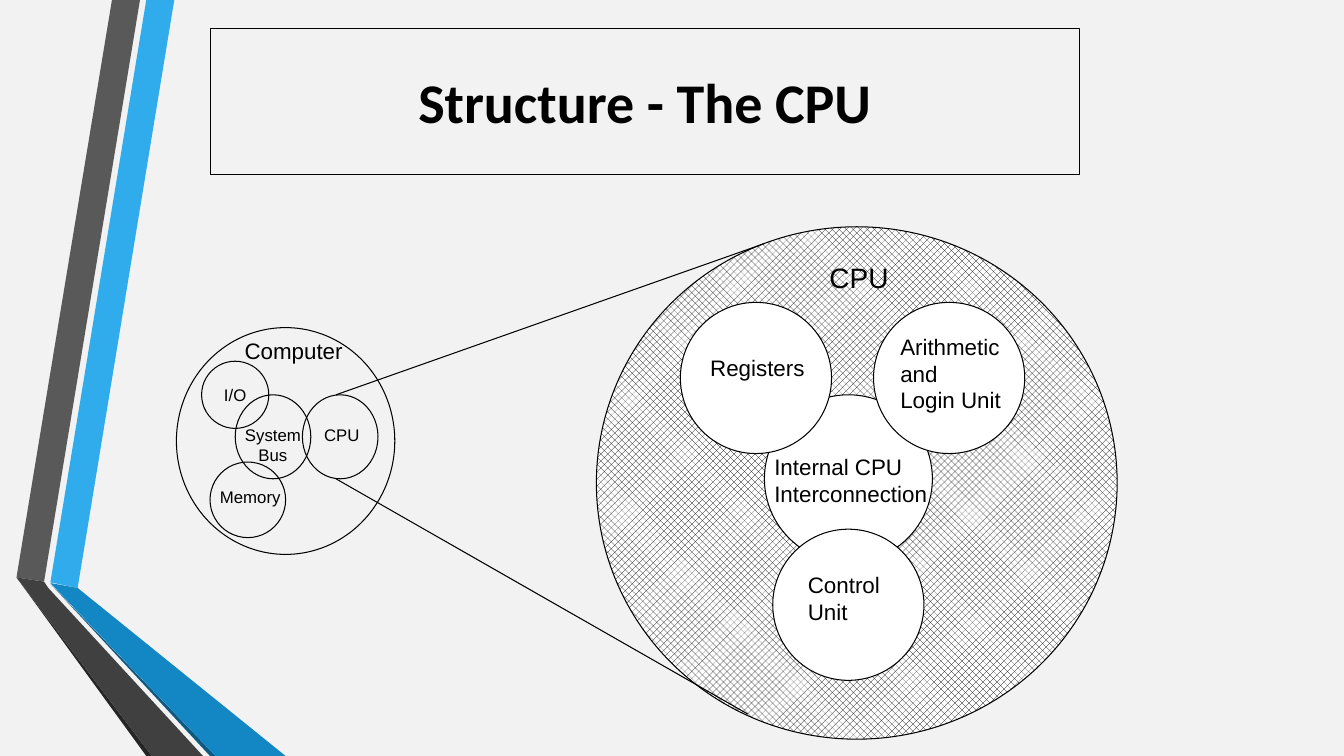
from pptx import Presentation
from pptx.dml.color import RGBColor
from pptx.enum.dml import MSO_PATTERN
from pptx.enum.shapes import MSO_CONNECTOR, MSO_SHAPE
from pptx.enum.text import MSO_ANCHOR, MSO_AUTO_SIZE, PP_ALIGN
from pptx.oxml.ns import qn
from pptx.util import Pt

BLACK = RGBColor(0x00, 0x00, 0x00)
WHITE = RGBColor(0xFF, 0xFF, 0xFF)
BACKGROUND = RGBColor(0xF2, 0xF2, 0xF2)
LIGHT_BLUE = RGBColor(0x30, 0xAC, 0xEC)
BLUE = RGBColor(0x12, 0x87, 0xC3)
DARK_BLUE = RGBColor(0x0C, 0x5A, 0x82)
GRAY = RGBColor(0x59, 0x59, 0x59)
DARK_GRAY = RGBColor(0x40, 0x40, 0x40)
CHARCOAL = RGBColor(0x26, 0x26, 0x26)

TITLE = "Structure - The CPU"
TITLE_BOX = (150.2, 20.3, 620.6, 104.4)

RIBBONS = [
    (LIGHT_BLUE, [(36, 416), (55.5, 420), (124.5, 0), (104.5, 0)]),
    (GRAY, [(100, 0), (80, 0), (11.8, 412.5), (31.5, 415.5)]),
    (CHARCOAL, [(11.8, 412.5), (104.5, 540), (108.5, 540)]),
    (DARK_BLUE, [(36, 417), (150, 540), (154, 540)]),
    (BLUE, [(36, 416.5), (154, 540), (204, 540), (55.5, 420)]),
    (DARK_GRAY, [(145, 540), (34.5, 420), (31.5, 415.5), (11.8, 412.5), (108.5, 540)]),
]

CPU_CIRCLE = (426, 162, 372, 366)
INTERCONNECTION_CIRCLE = (546, 282, 120, 120)
REGISTERS_CIRCLE = (486, 216, 108, 108)
ARITHMETIC_CIRCLE = (624, 216, 108, 108)
CONTROL_CIRCLE = (552, 378, 108, 108)
CPU_PARTS = [INTERCONNECTION_CIRCLE, REGISTERS_CIRCLE, ARITHMETIC_CIRCLE, CONTROL_CIRCLE]

COMPUTER_CIRCLE = (126, 234, 156, 162)
SMALL_CPU_CIRCLE = (216, 282, 54, 60)
MEMORY_CIRCLE = (150, 330, 54, 54)
BUS_CIRCLE = (168, 282, 54, 60)
COMPUTER_PARTS = [COMPUTER_CIRCLE, SMALL_CPU_CIRCLE, MEMORY_CIRCLE, BUS_CIRCLE]

INPUT_OUTPUT = "I/O"
INPUT_OUTPUT_CIRCLE = (144, 258, 48, 48)

ZOOM_LINES = [((240, 282), (546, 174)), ((240, 342), (534, 510))]

LABELS = [
    ("Computer", (167.6, 237.6, 85, 26.6), 16, PP_ALIGN.LEFT),
    ("Arithmetic\nand\nLogin Unit", (636, 234.2, 86.4, 65), 16, PP_ALIGN.LEFT),
    ("Control\nUnit", (570, 404.2, 66.2, 46), 16, PP_ALIGN.LEFT),
    ("Internal CPU\nInterconnection", (546, 320.2, 124.6, 46), 16, PP_ALIGN.LEFT),
    ("Registers", (500.2, 249.6, 82.8, 26.6), 16, PP_ALIGN.LEFT),
    ("CPU", (224.4, 299.8, 39.6, 22), 12, PP_ALIGN.CENTER),
    ("Memory", (149.6, 344.2, 58.3, 22), 12, PP_ALIGN.CENTER),
    ("System\nBus", (167.6, 299.6, 54.7, 36.7), 12, PP_ALIGN.CENTER),
    ("CPU", (585.2, 182.4, 56.9, 31.5), 20, PP_ALIGN.CENTER),
]


def points(values):
    return [Pt(value) for value in values]


def write(text_frame, text, font_name, size, alignment, bold=False):
    text_frame.text = text
    if alignment == PP_ALIGN.CENTER:
        text_frame.vertical_anchor = MSO_ANCHOR.MIDDLE
    for paragraph in text_frame.paragraphs:
        paragraph.alignment = alignment
        for run in paragraph.runs:
            run.font.name = font_name
            run.font.size = Pt(size)
            run.font.bold = bold
            run.font.color.rgb = BLACK


def outline(shape):
    shape.line.color.rgb = BLACK
    shape.line.width = Pt(0.75)


def add_title(slide):
    title = slide.shapes.title
    title.left, title.top, title.width, title.height = points(TITLE_BOX)
    outline(title)
    write(title.text_frame, TITLE, "Calibri", 40, PP_ALIGN.CENTER, bold=True)


def add_ribbon(slide, color, corners):
    start, *others = [points(corner) for corner in corners]
    builder = slide.shapes.build_freeform(*start)
    builder.add_line_segments(others, close=True)
    ribbon = builder.convert_to_shape()
    ribbon.shadow.inherit = False
    ribbon.fill.solid()
    ribbon.fill.fore_color.rgb = color
    ribbon.line.fill.background()


def add_circle(slide, box):
    circle = slide.shapes.add_shape(MSO_SHAPE.OVAL, *points(box))
    circle.shadow.inherit = False
    circle.fill.background()
    outline(circle)
    return circle


def add_zoom_line(slide, start, end):
    connector = slide.shapes.add_connector(
        MSO_CONNECTOR.STRAIGHT, *points(start), *points(end))
    outline(connector)
    properties = connector.element.spPr
    properties.append(properties.makeelement(qn("a:effectLst"), {}))


def add_label(slide, text, box, size, alignment):
    text_frame = slide.shapes.add_textbox(*points(box)).text_frame
    text_frame.word_wrap = False
    text_frame.auto_size = MSO_AUTO_SIZE.SHAPE_TO_FIT_TEXT
    write(text_frame, text, "Arial", size, alignment)


def main():
    presentation = Presentation()
    presentation.slide_width = Pt(960)
    presentation.slide_height = Pt(540)
    slide = presentation.slides.add_slide(presentation.slide_layouts[5])
    slide.background.fill.solid()
    slide.background.fill.fore_color.rgb = BACKGROUND

    add_title(slide)
    for color, corners in RIBBONS:
        add_ribbon(slide, color, corners)

    cpu_fill = add_circle(slide, CPU_CIRCLE).fill
    cpu_fill.patterned()
    cpu_fill.pattern = MSO_PATTERN.PERCENT_50
    cpu_fill.fore_color.rgb = BLACK
    cpu_fill.back_color.rgb = WHITE
    for box in CPU_PARTS:
        part = add_circle(slide, box)
        part.fill.solid()
        part.fill.fore_color.rgb = WHITE

    for box in COMPUTER_PARTS:
        add_circle(slide, box)
    input_output = add_circle(slide, INPUT_OUTPUT_CIRCLE)
    input_output.text_frame.word_wrap = False
    write(input_output.text_frame, INPUT_OUTPUT, "Arial", 12, PP_ALIGN.CENTER)

    for start, end in ZOOM_LINES:
        add_zoom_line(slide, start, end)
    for label in LABELS:
        add_label(slide, *label)

    presentation.save("out.pptx")


if __name__ == "__main__":
    main()
